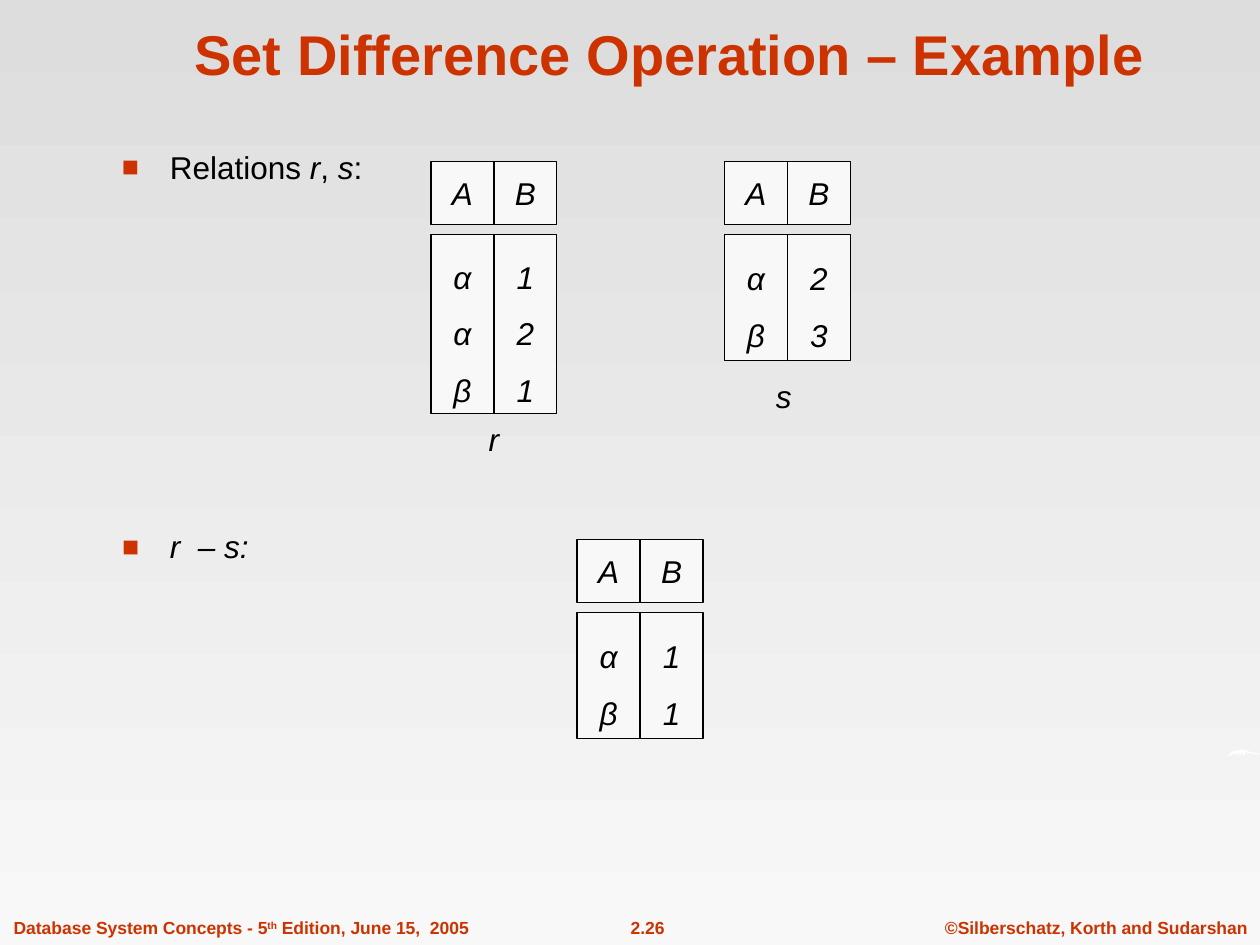
from dataclasses import dataclass

from lxml.etree import SubElement
from pptx import Presentation
from pptx.dml.color import RGBColor
from pptx.enum.shapes import MSO_SHAPE
from pptx.enum.text import MSO_ANCHOR, MSO_AUTO_SIZE, PP_ALIGN
from pptx.oxml.ns import qn
from pptx.util import Inches, Pt


@dataclass(frozen=True)
class Theme:
    font: str = "Arial"
    accent: RGBColor = RGBColor(0xCC, 0x33, 0x00)
    ink: RGBColor = RGBColor(0, 0, 0)
    cell: RGBColor = RGBColor(0xF8, 0xF8, 0xF8)
    swoosh: RGBColor = RGBColor(0xFF, 0xFF, 0xFF)
    backdrop: tuple = (RGBColor(0xDD, 0xDD, 0xDD), RGBColor(0xF8, 0xF8, 0xF8))
    title_size: int = 32
    body_size: int = 18
    footer_size: int = 10


class SlideBuilder:
    """Draws the elements of one slide in a shared style."""

    def __init__(self, slide, theme):
        self.slide = slide
        self.theme = theme

    def background(self):
        fill = self.slide.background.fill
        fill.gradient()
        fill.gradient_angle = 270
        for stop, color in zip(fill.gradient_stops, self.theme.backdrop):
            stop.color.rgb = color

    def fill_paragraph(self, paragraph, runs, paragraph_format, color=None, **font_format):
        for name, value in paragraph_format.items():
            setattr(paragraph, name, value)
        defaults = {"name": self.theme.font, "size": Pt(self.theme.body_size)}
        for text, run_format in runs:
            run = paragraph.add_run()
            run.text = text
            run.font.color.rgb = color or self.theme.ink
            for name, value in {**defaults, **font_format, **run_format}.items():
                setattr(run.font, name, value)

    def text(self, box, runs, paragraph_format, frame_format, **font_format):
        frame = self.slide.shapes.add_textbox(*map(Inches, box)).text_frame
        for name, value in frame_format.items():
            setattr(frame, name, value)
        paragraph = frame.paragraphs[0]
        self.fill_paragraph(paragraph, runs, paragraph_format, **font_format)
        return paragraph

    def title(self, text):
        self.text((0.9, 0.07, 8.83, 0.67), [(text, {})],
                  {"alignment": PP_ALIGN.CENTER},
                  {"word_wrap": True, "vertical_anchor": MSO_ANCHOR.BOTTOM},
                  size=Pt(self.theme.title_size), bold=True, color=self.theme.accent)

    def footer(self, left, width, texts, alignment):
        return self.text((left, 7.23, width, 0.27), [(text, {}) for text in texts],
                         {"alignment": alignment, "space_before": Pt(6.2)},
                         {"word_wrap": False,
                          "auto_size": MSO_AUTO_SIZE.SHAPE_TO_FIT_TEXT},
                         size=Pt(self.theme.footer_size), bold=True,
                         color=self.theme.accent)

    def caption(self, left, top, width, text):
        self.text((left, top, width, 0.4), [(text, {"italic": True})],
                  {"alignment": PP_ALIGN.CENTER, "space_before": Pt(11.2)},
                  {"word_wrap": False, "vertical_anchor": MSO_ANCHOR.MIDDLE,
                   "auto_size": MSO_AUTO_SIZE.SHAPE_TO_FIT_TEXT})

    def bullet(self, box, runs, line_spacing):
        paragraph = self.text(box, runs,
                              {"line_spacing": line_spacing, "space_before": Pt(7.9)},
                              {"word_wrap": True})
        properties = paragraph._p.get_or_add_pPr()
        hang = Inches(0.38)
        properties.set("marL", str(hang))
        properties.set("indent", str(-hang))
        color = SubElement(properties, qn("a:buClr"))
        SubElement(color, qn("a:srgbClr"), val=str(self.theme.accent))
        SubElement(properties, qn("a:buSzPct"), val="90000")
        SubElement(properties, qn("a:buFont"), typeface=self.theme.font)
        SubElement(properties, qn("a:buChar"), char="■")

    def cell(self, box, lines, line_spacing):
        rectangle = self.slide.shapes.add_shape(MSO_SHAPE.RECTANGLE, *map(Inches, box))
        rectangle.shadow.inherit = False
        rectangle.fill.solid()
        rectangle.fill.fore_color.rgb = self.theme.cell
        rectangle.line.color.rgb = self.theme.ink
        rectangle.line.width = Pt(0.75)
        frame = rectangle.text_frame
        frame.word_wrap = False
        frame.vertical_anchor = MSO_ANCHOR.MIDDLE
        for index, line in enumerate(lines):
            paragraph = frame.add_paragraph() if index else frame.paragraphs[0]
            self.fill_paragraph(paragraph, [(line, {"italic": True})],
                                {"alignment": PP_ALIGN.CENTER,
                                 "line_spacing": line_spacing})

    def relation(self, left, top, body_height, columns):
        side, body_offset = 0.5, 0.58
        for index, (attribute, values) in enumerate(columns.items()):
            x = left + index * side
            self.cell((x, top, side, side), attribute, None)
            self.cell((x, top + body_offset, side, body_height), values, 1.5)

    def swoosh(self, points):
        outline = self.slide.shapes.build_freeform(*points[0], scale=Inches(0.01))
        outline.add_line_segments(points[1:], close=True)
        shape = outline.convert_to_shape()
        shape.shadow.inherit = False
        shape.fill.solid()
        shape.fill.fore_color.rgb = self.theme.swoosh
        shape.line.fill.background()


def main():
    presentation = Presentation()
    presentation.slide_width, presentation.slide_height = Inches(10), Inches(7.5)
    slide = presentation.slides.add_slide(presentation.slide_layouts[6])
    builder = SlideBuilder(slide, Theme())
    italic = {"italic": True}

    builder.background()
    builder.footer(7.4, 2.6, ["©Silberschatz, Korth and Sudarshan"], PP_ALIGN.CENTER)
    builder.footer(4.65, 0.98, ["2.26"], PP_ALIGN.CENTER)
    edition = builder.footer(
        0.01, 3.81, ["Database System Concepts - 5", "th", " Edition, June 15,  2005"],
        PP_ALIGN.LEFT)
    edition.runs[1].font._element.set("baseline", "30000")
    builder.swoosh([(975, 601), (976, 598), (979, 596), (984, 595), (987, 595),
                    (993, 597), (1000, 598), (998, 599), (988, 597), (988, 600),
                    (985, 597), (985, 600), (982, 597), (983, 600), (980, 598),
                    (976, 600)])

    builder.title("Set Difference Operation – Example")
    relations = [("Relations ", {}), ("r", italic), (", ", {}), ("s", italic), (":", {})]
    builder.bullet((0.87, 1.18, 7.5, 0.37), relations, 0.8)
    builder.bullet((0.87, 4.17, 7.69, 0.36), [("r  – s:", italic)], 0.9)

    builder.relation(3.42, 1.28, 1.42, {"A": "ααβ", "B": "121"})
    builder.relation(5.75, 1.28, 1, {"A": "αβ", "B": "23"})
    builder.caption(3.78, 3.28, 0.28, "r")
    builder.caption(6.06, 2.94, 0.32, "s")
    builder.relation(4.58, 4.28, 1, {"A": "αβ", "B": "11"})

    presentation.save("out.pptx")


if __name__ == "__main__":
    main()
